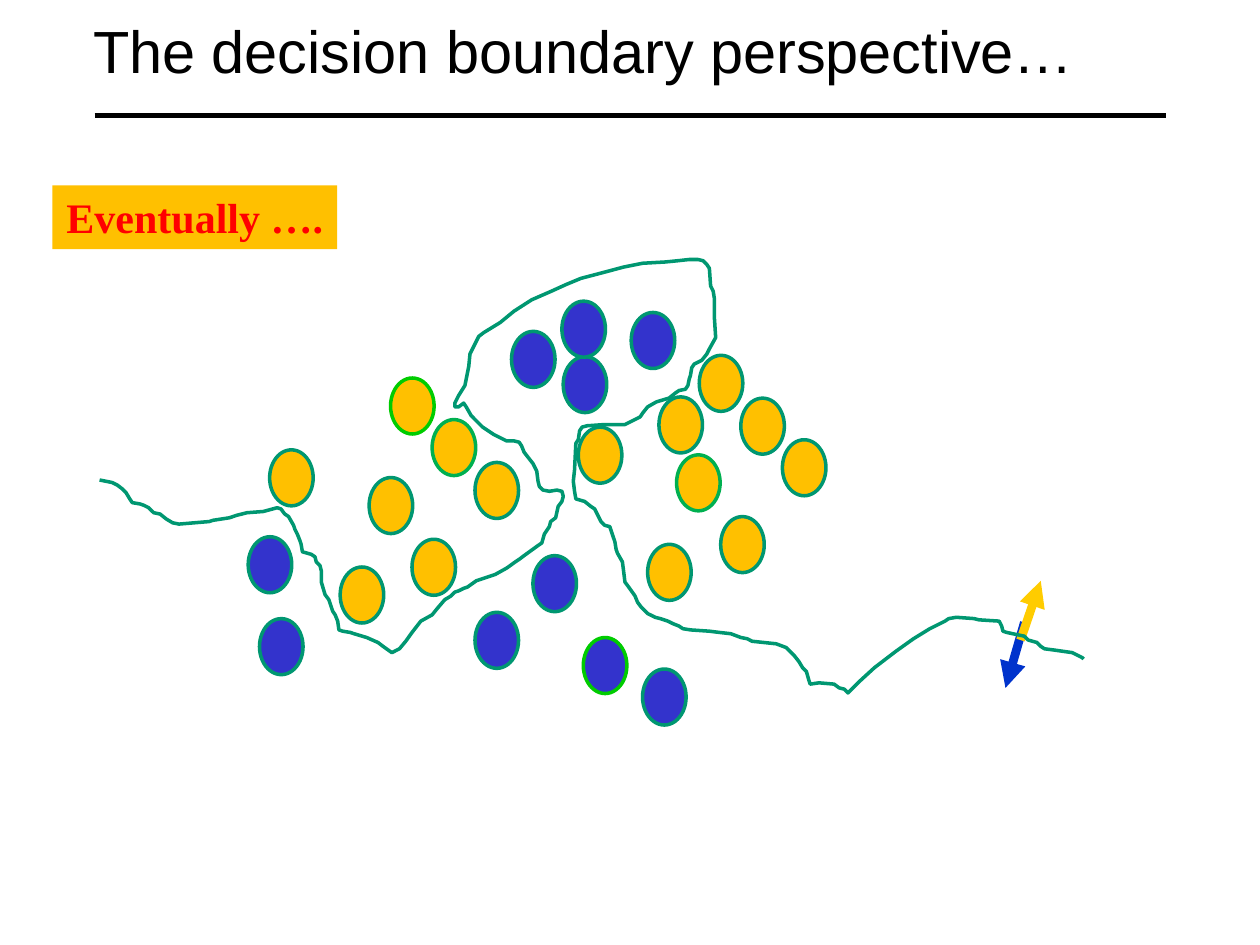
import pptx
import pptx.dml.color
import pptx.enum.shapes
import pptx.enum.text
import pptx.oxml
import pptx.oxml.ns
import pptx.util

Pt = pptx.util.Pt
SHAPE = pptx.enum.shapes.MSO_SHAPE
ALIGN = pptx.enum.text.PP_ALIGN
ANCHOR = pptx.enum.text.MSO_ANCHOR
FIT = pptx.enum.text.MSO_AUTO_SIZE
GREEN, BLUE, GOLD = "009771", "3333CC", "FFC000"
LIME, LEAF = "00CC00", "00B050"
UNIT = 0.72

DOTS = [
    (510, 331, BLUE, GREEN), (310, 100, GOLD, LIME), (293, 179, GOLD, GREEN),
    (343, 133, GOLD, LEAF), (327, 228, GOLD, GREEN), (377, 167, GOLD, GREEN),
    (270, 250, GOLD, GREEN), (214, 157, GOLD, GREEN), (406, 63, BLUE, GREEN),
    (206, 291, BLUE, GREEN), (197, 226, BLUE, GREEN), (501, 48, BLUE, GREEN),
    (555, 82, GOLD, GREEN), (537, 161, GOLD, LEAF), (588, 116, GOLD, GREEN),
    (572, 210, GOLD, GREEN), (621, 149, GOLD, GREEN), (514, 232, GOLD, GREEN),
    (459, 139, GOLD, GREEN), (447, 83, BLUE, GREEN), (377, 286, BLUE, GREEN),
    (423, 241, BLUE, GREEN), (463, 306, BLUE, LIME), (446, 39, BLUE, GREEN),
    (523, 115, GOLD, GREEN),
]
ARROWS = [(813, 294, 798, 346, "0033CC"), (810, 308, 826, 261, "FFCC00")]
WEST = """
79,181 84,182 89,183 93,185 97,188 100,191 103,196 105,199 111,200 114,201
118,203 122,207 127,208 132,212 137,215 142,216 166,214 169,213 182,211 188,209
192,208 196,207 209,206 220,203 223,204 226,208 229,210 233,217 234,220 236,224
238,229 239,232 240,238 247,240 250,242 251,246 254,249 255,253 255,262 258,272
261,276 264,285 266,288 268,293 269,300 272,301 278,302 281,303 291,306 300,310
304,313 311,318 317,315 322,309 327,302 334,293 343,288 347,283 353,276 358,273
"""
LOOP = """
361,270 364,269 368,267 371,266 378,261 393,256 402,251 409,246 412,244 416,241
427,233 430,231 432,224 436,218 437,214 441,211 443,202 446,198 447,194 446,190
442,189 436,190 431,189 428,186 427,182 426,174 423,168 416,159 414,154 412,151
408,150 402,150 392,145 383,139 374,130 370,123 368,120 364,123 361,123 361,120
364,114 369,106 371,96 372,91 373,81 377,73 380,67 384,64 397,56 408,47
422,38 438,31 449,26 461,21 480,16 495,12 510,9 528,8 538,7 547,6
554,6 558,7 561,10 563,13 564,27 566,31 567,37 567,52 568,68 563,77
"""
EAST = """
561,81 557,86 551,89 549,92 548,98 547,101 546,106 544,109 539,110 536,112
531,116 521,119 514,123 510,128 508,131 504,133 496,137 480,137 466,138 462,139
460,142 459,149 457,152 456,173 455,182 456,190 457,196 464,198 469,202 472,204
477,214 480,217 484,218 487,227 488,230 489,236 490,239 494,246 495,254 496,262
499,266 504,273 506,278 509,282 514,287 520,290 524,291 530,293 534,295 539,297
"""
TAIL = """
542,299 548,300 563,301 571,302 580,303 588,306 593,307 597,309 616,311 624,314
630,320 634,325 637,330 640,333 642,340 643,343 650,342 662,343 666,346 670,347
673,350 682,341 694,330 711,317 725,307 738,299 744,296 750,293 753,291 759,290
773,291 777,292 793,293 795,297 796,301 799,302 813,305 816,308 823,310 826,313
829,315 837,316 851,318 859,322 860,323
"""


def ink(code):
    return pptx.dml.color.RGBColor.from_string(code)


def paint(shape, fill=None, edge=None):
    shape.shadow.inherit = False
    if fill:
        shape.fill.solid()
        shape.fill.fore_color.rgb = ink(fill)
    else:
        shape.fill.background()
    if edge:
        shape.line.color.rgb = ink(edge)
        shape.line.width = Pt(2)
    else:
        shape.line.fill.background()


def write(para, text, face, size, code, bold=False):
    run = para.add_run()
    run.text = text
    run.font.name = face
    run.font.size = Pt(size)
    run.font.bold = bold
    run.font.color.rgb = ink(code)


def stroke(slide, ends, width, code, tip=False):
    line = slide.shapes.add_connector(
        pptx.enum.shapes.MSO_CONNECTOR.STRAIGHT, *map(Pt, ends))
    line.line.color.rgb = ink(code)
    line.line.width = Pt(width)
    props = line._element.spPr
    names = pptx.oxml.ns.nsdecls("a")
    if tip:
        props.find(pptx.oxml.ns.qn("a:ln")).append(
            pptx.oxml.parse_xml(f'<a:tailEnd {names} type="triangle"/>'))
    props.append(pptx.oxml.parse_xml(f"<a:effectLst {names}/>"))


def header(slide, left, top, width, height):
    stroke(slide, (left + 8, top + 54, left + 620, top + 54), 3, "000000")
    title = slide.shapes.title
    title.left, title.top, title.width, title.height = map(Pt, (left, top, width, height))
    frame = title.text_frame
    frame.word_wrap = True
    frame.auto_size = FIT.NONE
    frame.vertical_anchor = ANCHOR.MIDDLE
    para = frame.paragraphs[0]
    para.alignment = ALIGN.LEFT
    write(para, "The decision boundary perspective…", "Arial", 34, "000000")


def label(slide, left, top, width, height):
    box = slide.shapes.add_shape(SHAPE.RECTANGLE, *map(Pt, (left, top, width, height)))
    paint(box, GOLD)
    frame = box.text_frame
    frame.word_wrap = False
    frame.auto_size = FIT.SHAPE_TO_FIT_TEXT
    frame.vertical_anchor = ANCHOR.TOP
    para = frame.paragraphs[0]
    para.alignment = ALIGN.CENTER
    write(para, "Eventually ….", "Times New Roman", 24, "FF0000", True)


def dots(slide, left, top):
    for x, y, fill, edge in DOTS:
        dot = slide.shapes.add_shape(
            SHAPE.OVAL, Pt(left + x * UNIT), Pt(top + y * UNIT), Pt(24.9), Pt(32))
        paint(dot, fill, edge)


def arrows(slide, left, top):
    for x, y, far, low, code in ARROWS:
        ends = (left + x * UNIT, top + y * UNIT, left + far * UNIT, top + low * UNIT)
        stroke(slide, ends, 5, code, True)


def border(slide, left, top):
    spots = [tuple(map(int, pair.split(",")))
             for part in (WEST, LOOP, EAST, TAIL) for pair in part.split()]
    pen = slide.shapes.build_freeform(*spots[0], scale=Pt(UNIT))
    pen.add_line_segments(spots[1:], close=False)
    paint(pen.convert_to_shape(Pt(left), Pt(top)), edge=GREEN)


def main():
    deck = pptx.Presentation()
    deck.slide_width, deck.slide_height = Pt(720), Pt(540)
    slide = deck.slides.add_slide(deck.slide_layouts[5])
    header(slide, 46, 12.2, 692, 32.4)
    dots(slide, 0, 144)
    arrows(slide, 0, 144)
    label(slide, 30, 106, 162.7, 36.4)
    border(slide, 0, 144)
    deck.save("out.pptx")


if __name__ == "__main__":
    main()
